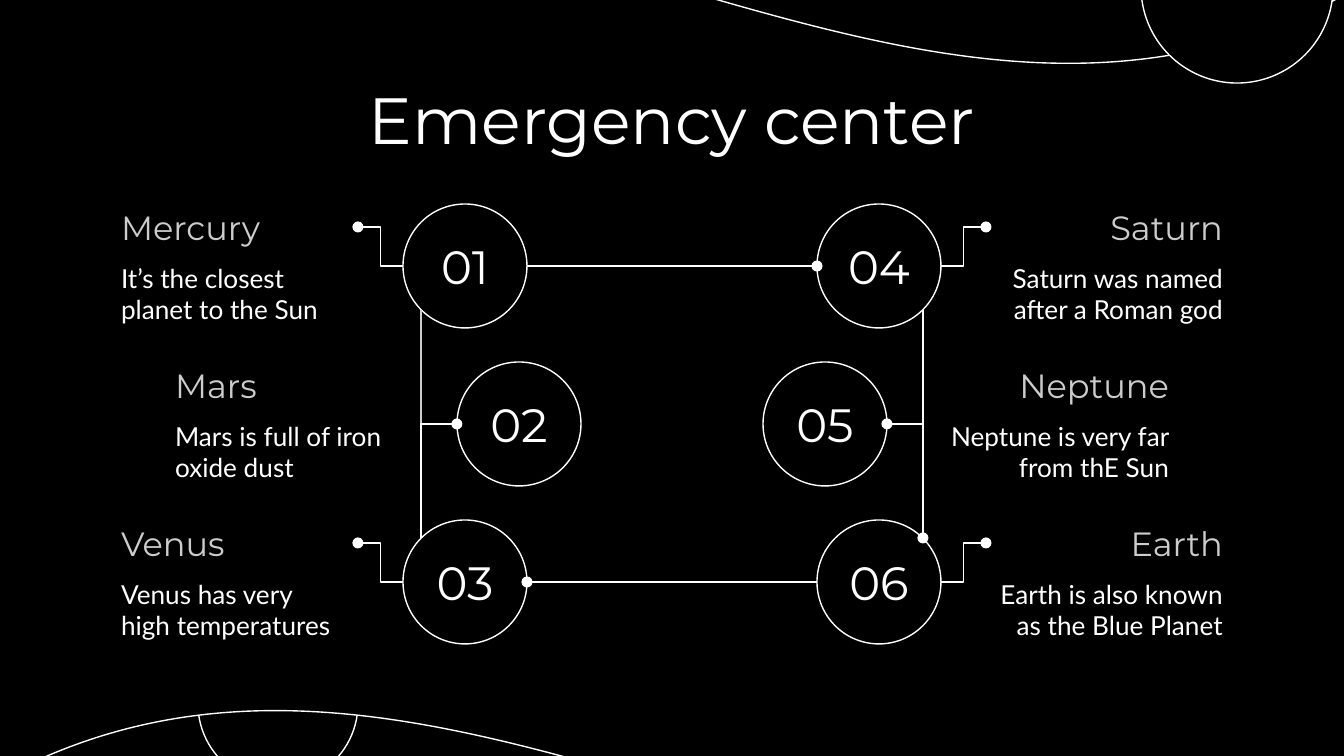
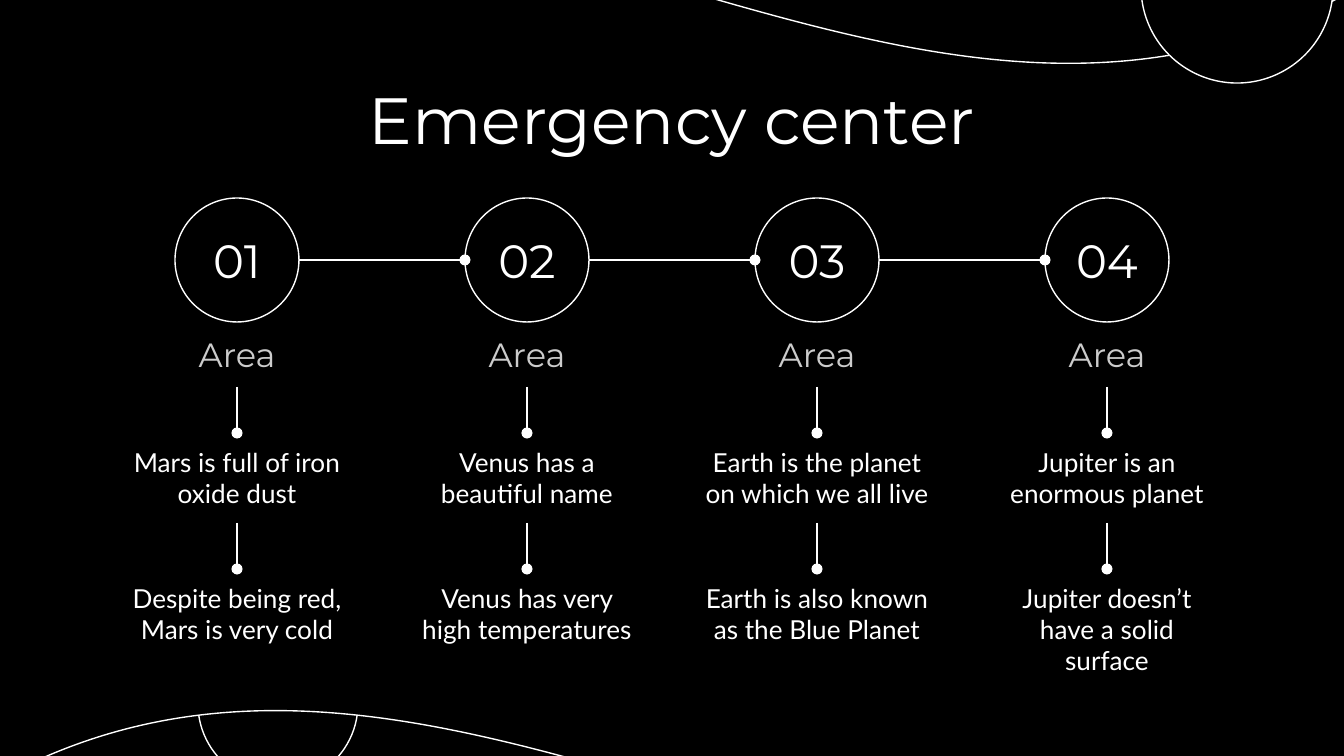
from lxml.etree import SubElement
from pptx import Presentation
from pptx.dml.color import RGBColor
from pptx.enum.shapes import MSO_CONNECTOR as CXN, MSO_SHAPE as SHAPE
from pptx.enum.text import MSO_ANCHOR as ANCHOR, PP_ALIGN as ALIGN
from pptx.oxml.ns import qn
from pptx.util import Emu, Pt

BLACK = RGBColor(0x00, 0x00, 0x00)
WHITE = RGBColor(0xFF, 0xFF, 0xFF)
GRAY = RGBColor(0xCC, 0xCC, 0xCC)

SLIDE_W, SLIDE_H = 1344, 756
EMU_PER_PX = 914400 / 134.4
INSET = 13
CIRCLE = 124
RADIUS = CIRCLE // 2
TEXT_W, HEADING_H, BODY_H = 250, 65, 90

TITLE = "Emergency center"
PLANETS_LEFT = [
    ("01", "Mercury", "It’s the closest planet to the Sun"),
    ("02", "Mars", "Mars is full of iron oxide dust"),
    ("03", "Venus", "Venus has very high temperatures"),
]
PLANETS_RIGHT = [
    ("04", "Saturn", "Saturn was named after a Roman god"),
    ("05", "Neptune", "Neptune is very far from thE Sun"),
    ("06", "Earth", "Earth is also known as the Blue Planet"),
]
AREAS = [
    ("01", "Area", ["Mars is full of iron oxide dust", "Despite being red, Mars is very cold"]),
    ("02", "Area", ["Venus has a beautiful name", "Venus has very high temperatures"]),
    ("03", "Area", ["Earth is the planet on which we all live", "Earth is also known as the Blue Planet"]),
    ("04", "Area", ["Jupiter is an enormous planet", "Jupiter doesn’t have a solid surface"]),
]


def px(*values):
    return [Emu(round(v * EMU_PER_PX)) for v in values]


def write(shape, text, size, font, color, align, anchor, inset):
    tf = shape.text_frame
    tf.word_wrap = True
    tf.vertical_anchor = anchor
    tf.margin_left, tf.margin_top, tf.margin_right, tf.margin_bottom = px(*[inset] * 4)
    tf.text = text
    p = tf.paragraphs[0]
    p.alignment = align
    r = p.runs[0]
    r.font.size, r.font.name = Pt(size), font
    r.font.color.rgb = color


def outline(shapes, kind, *box):
    sp = shapes.add_shape(kind, *px(*box))
    sp.shadow.inherit = False
    sp.fill.solid()
    sp.fill.fore_color.rgb = BLACK
    sp.line.color.rgb = WHITE
    sp.line.width = Pt(0.75)
    return sp


def number_circle(shapes, number, x, y):
    sp = outline(shapes, SHAPE.OVAL, x, y, CIRCLE, CIRCLE)
    write(sp, number, 25, "Montserrat", WHITE, ALIGN.CENTER, ANCHOR.MIDDLE, 0)


def heading(shapes, text, x, y, align):
    sp = shapes.add_textbox(*px(x, y, TEXT_W, HEADING_H))
    write(sp, text, 18, "Montserrat", GRAY, align, ANCHOR.BOTTOM, INSET)
    return sp


def body(shapes, text, x, y, align):
    sp = shapes.add_textbox(*px(x, y, TEXT_W, BODY_H))
    write(sp, text, 14, "Lato", WHITE, align, ANCHOR.TOP, INSET)
    return sp


def connector(s, begin, end, kind=CXN.STRAIGHT, dot="tailEnd", color=WHITE):
    cxn = s.shapes.add_connector(kind, *px(*begin, *end))
    cxn.line.color.rgb = color
    cxn.line.width = Pt(0.75)
    if dot:
        SubElement(cxn.line._get_or_add_ln(), qn("a:" + dot), type="oval")
    SubElement(cxn.element.spPr, qn("a:effectLst"))
    return cxn


def corner(s, begin, end, dot, color=WHITE):
    cxn = connector(s, begin, end, CXN.ELBOW, dot, color)
    cxn.element.spPr.find(qn("a:prstGeom")).set("prst", "bentConnector2")


def new_slide(prs):
    s = prs.slides.add_slide(prs.slide_layouts[6])
    s.background.fill.solid()
    s.background.fill.fore_color.rgb = BLACK
    outline(s.shapes, SHAPE.OVAL, 198, 624, 160, 160)
    wave = outline(s.shapes, SHAPE.WAVE, -15, -93, 1374, 960)
    wave.adjustments[0], wave.adjustments[1] = 0.083, 0
    outline(s.shapes, SHAPE.OVAL, 1141, -109, 192, 192)
    sp = s.shapes.add_textbox(*px(106, 66, 1132, 85))
    write(sp, TITLE, 35, "Montserrat", WHITE, ALIGN.CENTER, ANCHOR.TOP, INSET)
    return s


def planets_slide(prs):
    s = new_slide(prs)
    top, pitch, indent = 204, 158, 54
    circle_x, text_x = 403, 108
    mid_y = top + pitch + RADIUS
    rows = [top + RADIUS, mid_y + pitch]

    for side, planets in enumerate([PLANETS_LEFT, PLANETS_RIGHT]):
        def place(x, width=0):
            return SLIDE_W - x - width if side else x

        align = ALIGN.RIGHT if side else ALIGN.LEFT
        for i, (number, name, fact) in enumerate(planets):
            y = top + i * pitch
            shift = indent * (i % 2)
            x = place(text_x + shift, TEXT_W)
            shapes = s.shapes.add_group_shape().shapes
            number_circle(shapes, number, place(circle_x + shift, CIRCLE), y)
            body(shapes, fact, x, y + 45, align)
            heading(shapes, name, x, y - 9, align)

        for y in rows:
            connector(s, (place(circle_x), y), (place(358), y - 39), CXN.ELBOW)
        start = place(circle_x + indent), mid_y
        rim_x = place(421)
        upper, lower = (rim_x, mid_y - 114), (rim_x, mid_y + 114)
        if side:
            corner(s, start, upper, "headEnd")
            corner(s, start, lower, "tailEnd")
        else:
            corner(s, start, upper, None, GRAY)
            corner(s, start, lower, "headEnd")

    inner_left = circle_x + CIRCLE
    inner_right = SLIDE_W - inner_left
    connector(s, (inner_left, rows[0]), (inner_right, rows[0]))
    connector(s, (inner_right, rows[1]), (inner_left, rows[1]))


def areas_slide(prs):
    s = new_slide(prs)
    first_x, pitch, circle_y = 237, 290, 198
    heading_y, body_y, body_pitch = 322, 433, 136
    for i, (number, name, facts) in enumerate(AREAS):
        center = first_x + i * pitch
        x = center - TEXT_W // 2
        shapes = s.shapes.add_group_shape().shapes
        number_circle(shapes, number, center - RADIUS, circle_y)
        boxes = [heading(shapes, name, x, heading_y, ALIGN.CENTER)]
        for j, fact in enumerate(facts):
            boxes.append(body(shapes, fact, x, body_y + j * body_pitch, ALIGN.CENTER))
        for upper, lower in zip(boxes, boxes[1:]):
            cxn = connector(s, (center, heading_y), (center, body_y))
            cxn.begin_connect(upper, 2)
            cxn.end_connect(lower, 0)
        if i:
            y = circle_y + RADIUS
            connector(s, (center - pitch + RADIUS, y), (center - RADIUS, y))


def main():
    prs = Presentation()
    prs.slide_width, prs.slide_height = px(SLIDE_W, SLIDE_H)
    planets_slide(prs)
    areas_slide(prs)
    prs.save("out.pptx")


if __name__ == "__main__":
    main()
